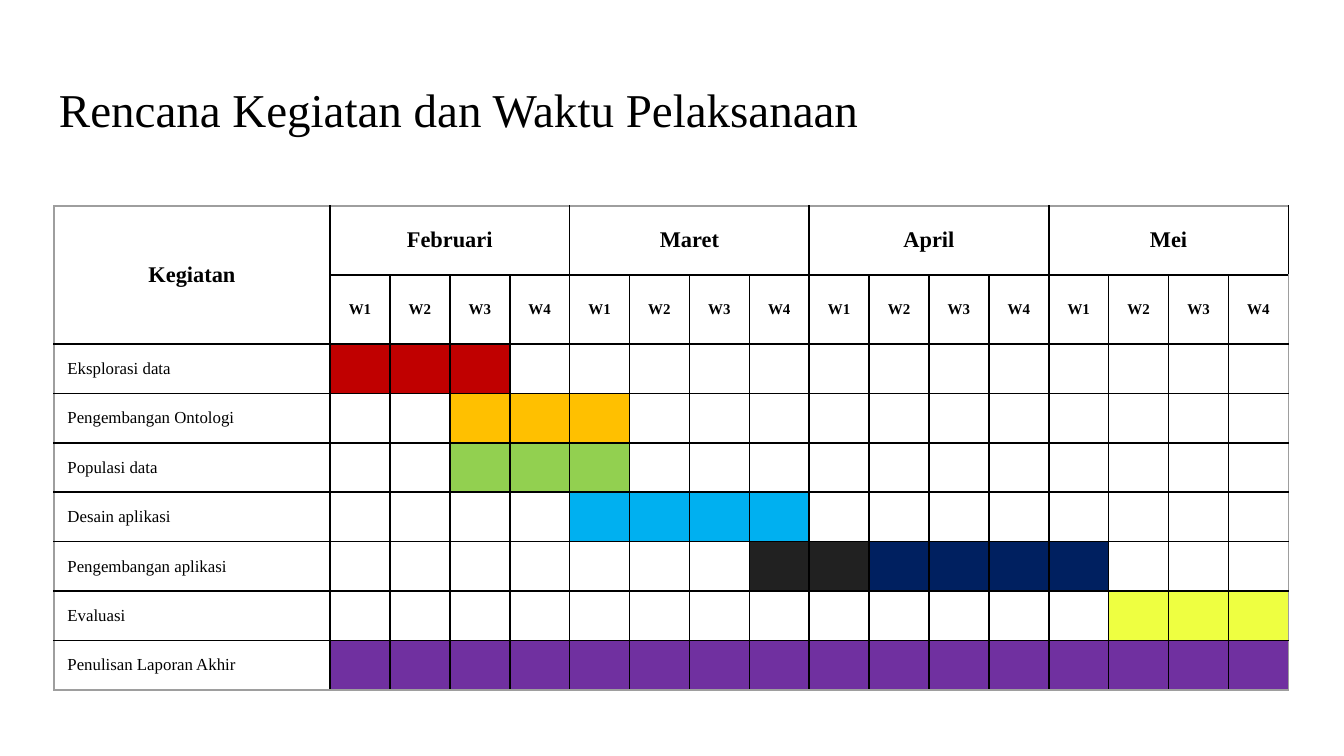
from lxml import etree
from pptx import Presentation
from pptx.dml.color import RGBColor
from pptx.enum.text import MSO_ANCHOR, PP_ALIGN
from pptx.oxml.ns import qn
from pptx.util import Emu, Pt

LEFT, CENTER = PP_ALIGN.LEFT, PP_ALIGN.CENTER
MIDDLE = MSO_ANCHOR.MIDDLE
FONT = "Times New Roman"

BLACK = RGBColor(0x00, 0x00, 0x00)
WHITE = RGBColor(0xFF, 0xFF, 0xFF)
GREY = RGBColor(0x9E, 0x9E, 0x9E)
RED = RGBColor(0xC0, 0x00, 0x00)
AMBER = RGBColor(0xFF, 0xC0, 0x00)
GREEN = RGBColor(0x92, 0xD0, 0x50)
SKY = RGBColor(0x00, 0xB0, 0xF0)
CHARCOAL = RGBColor(0x21, 0x21, 0x21)
NAVY = RGBColor(0x00, 0x20, 0x60)
YELLOW = RGBColor(0xEE, 0xFF, 0x41)
PURPLE = RGBColor(0x70, 0x30, 0xA0)

TITLE = "Rencana Kegiatan dan Waktu Pelaksanaan"
ACTIVITY_HEADING = "Kegiatan"
MONTHS = ["Februari", "Maret", "April", "Mei"]
WEEKS = ["W1", "W2", "W3", "W4"]
# Each bar is (first week, last week, colour), weeks counted from 1.
ACTIVITIES = [
    ("Eksplorasi data", [(1, 3, RED)]),
    ("Pengembangan Ontologi", [(3, 5, AMBER)]),
    ("Populasi data", [(3, 5, GREEN)]),
    ("Desain aplikasi", [(5, 8, SKY)]),
    ("Pengembangan aplikasi", [(8, 9, CHARCOAL), (10, 13, NAVY)]),
    ("Evaluasi", [(14, 16, YELLOW)]),
    ("Penulisan Laporan Akhir", [(1, 16, PURPLE)]),
]

# Lengths in px
SLIDE_SIZE = (1344, 756)
TITLE_BOX = (46, 66, 1252, 85)
TABLE_LEFT, TABLE_TOP = 54, 206
NAME_WIDTH, WEEKS_WIDTH = 276, 959
HEADER_HEIGHT, BODY_HEIGHT = 69, 346
TITLE_INSET = 13
HEADER_ROWS = 2


def px(length):
    return Emu(round(length * 914400 / 134.4))


def write(frame, text, size, bold=False, align=LEFT):
    frame.word_wrap = True
    para = frame.paragraphs[0]
    para.alignment = align
    span = para.add_run()
    span.text = text
    span.font.name = FONT
    span.font.size = Pt(size)
    span.font.bold = bold
    span.font.color.rgb = BLACK


def add_border(cell, side, color):
    properties = cell._tc.get_or_add_tcPr()
    line = etree.SubElement(properties, qn(f"a:ln{side}"), w=str(Pt(1)))
    fill = etree.SubElement(line, qn("a:solidFill"))
    etree.SubElement(fill, qn("a:srgbClr"), val=str(color))


def format_cell(table, row, column):
    """Give a cell a white fill, black inner lines and grey outer lines."""
    cell = table.cell(row, column)
    on_edge = {
        "L": column == 0,
        "R": column == len(table.columns) - 1,
        "T": row == 0,
        "B": row == len(table.rows) - 1,
    }
    for side, outer in on_edge.items():
        add_border(cell, side, GREY if outer else BLACK)
    cell.fill.solid()
    cell.fill.fore_color.rgb = WHITE
    cell.vertical_anchor = MIDDLE
    cell.margin_top = cell.margin_bottom = 0


def add_title(slide):
    title = slide.shapes.title
    title.left, title.top, title.width, title.height = map(px, TITLE_BOX)
    frame = title.text_frame
    frame.margin_left = frame.margin_right = px(TITLE_INSET)
    frame.margin_top = frame.margin_bottom = px(TITLE_INSET)
    frame.vertical_anchor = MIDDLE
    write(frame, TITLE, 25.2)


def add_schedule(slide):
    week_count = len(MONTHS) * len(WEEKS)
    widths = [NAME_WIDTH] + [WEEKS_WIDTH / week_count] * week_count
    heights = ([HEADER_HEIGHT] * HEADER_ROWS
               + [BODY_HEIGHT / len(ACTIVITIES)] * len(ACTIVITIES))
    table = slide.shapes.add_table(
        len(heights), len(widths), px(TABLE_LEFT), px(TABLE_TOP),
        px(sum(widths)), px(sum(heights))).table
    table.first_row = table.horz_banding = False
    for column, width in zip(table.columns, widths):
        column.width = px(width)
    for row, height in zip(table.rows, heights):
        row.height = px(height)
    for row in range(len(heights)):
        for column in range(len(widths)):
            format_cell(table, row, column)

    heading = table.cell(0, 0)
    heading.merge(table.cell(HEADER_ROWS - 1, 0))
    write(heading.text_frame, ACTIVITY_HEADING, 12, bold=True, align=CENTER)
    for index, month in enumerate(MONTHS):
        first = 1 + index * len(WEEKS)
        heading = table.cell(0, first)
        heading.merge(table.cell(0, first + len(WEEKS) - 1))
        write(heading.text_frame, month, 12, bold=True, align=CENTER)
        for column, week in enumerate(WEEKS, first):
            write(table.cell(1, column).text_frame, week, 8,
                  bold=True, align=CENTER)

    for row, (activity, bars) in enumerate(ACTIVITIES, HEADER_ROWS):
        write(table.cell(row, 0).text_frame, activity, 9)
        for first, last, color in bars:
            for column in range(first, last + 1):
                table.cell(row, column).fill.fore_color.rgb = color


def main():
    deck = Presentation()
    deck.slide_width, deck.slide_height = map(px, SLIDE_SIZE)
    slide = deck.slides.add_slide(deck.slide_layouts.get_by_name("Title Only"))
    add_title(slide)
    add_schedule(slide)
    deck.save("out.pptx")


if __name__ == "__main__":
    main()
